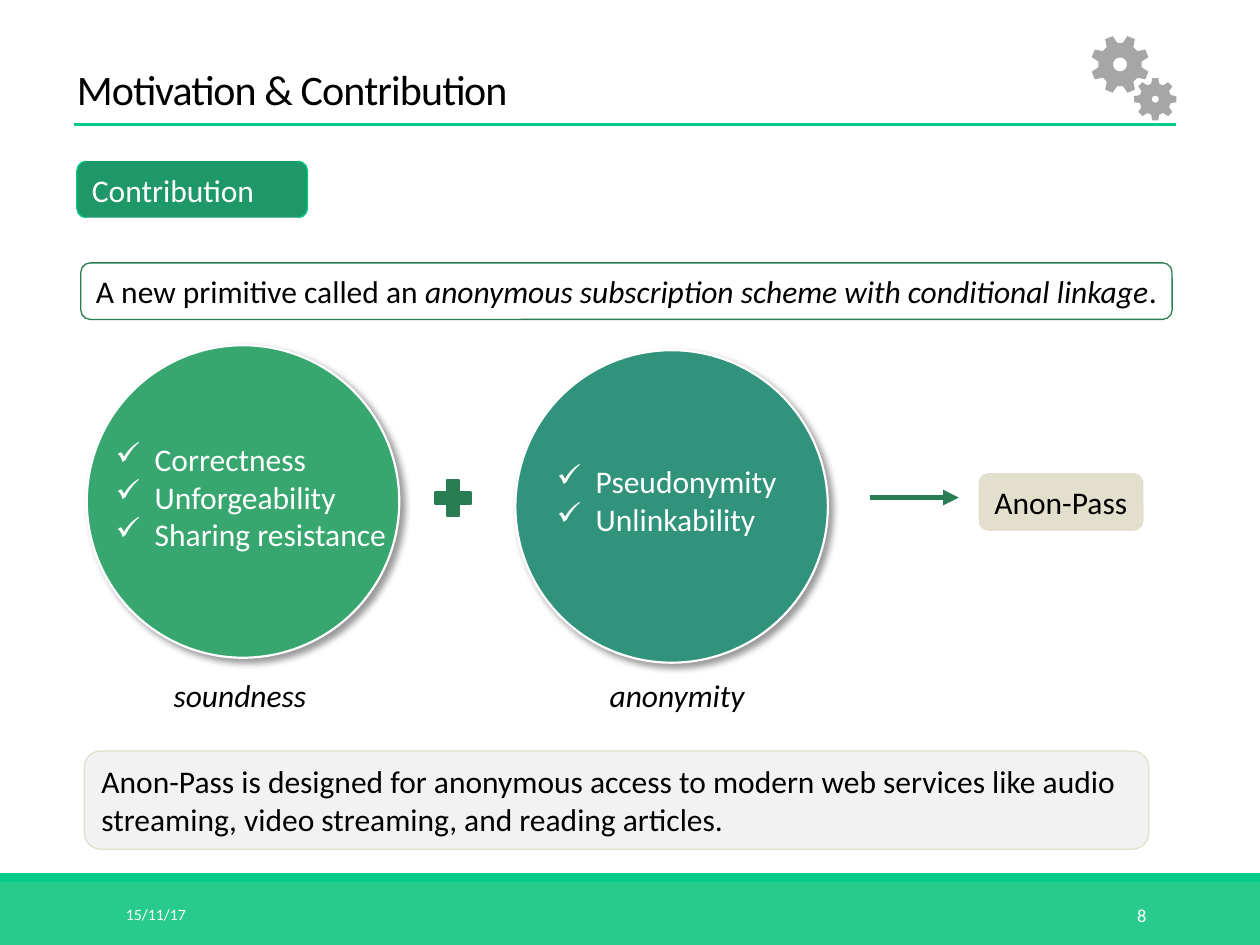
import math

from lxml import etree
from pptx import Presentation
from pptx import util as u
from pptx.dml import color
from pptx.enum import shapes, text
from pptx.oxml import ns

COLORS = {
    "footer": "29CB8C", "accent": "07CB88", "tag": "1F9869", "dark": "297D53",
    "soundness": "37A76F", "anonymity": "31937B", "sand": "E2DFCC",
    "note": "F2F2F2", "gear": "A6A6A6", "white": "FFFFFF", "black": "000000",
}
FONT = "Calibri"
KINDS = shapes.MSO_SHAPE
ANCHORS = text.MSO_ANCHOR


def rgb(name):
    return color.RGBColor.from_string(COLORS[name])


def add_child(parent, tag, **attributes):
    return etree.SubElement(parent, ns.qn(tag), attributes)


def paint(shape, fill=None, line=None, width=0.75):
    shape.shadow.inherit = False
    if fill:
        shape.fill.solid()
        shape.fill.fore_color.rgb = rgb(fill)
    else:
        shape.fill.background()
    if line:
        shape.line.color.rgb = rgb(line)
        shape.line.width = u.Pt(width)
    else:
        shape.line.fill.background()


def style(box, size=18, ink="black", italic=False, align=text.PP_ALIGN.LEFT):
    for para in box.text_frame.paragraphs:
        para.alignment = align
        for span in para.runs:
            span.font.name = FONT
            span.font.size = u.Pt(size)
            span.font.color.rgb = rgb(ink)
            span.font.italic = italic


def add_block(page, kind, place, fill=None, line=None, width=0.75):
    block = page.shapes.add_shape(kind, *map(u.Cm, place))
    paint(block, fill, line, width)
    return block


def add_panel(page, kind, place, words, fill, line, ink="black", wrap=True):
    panel = add_block(page, kind, place, fill, line)
    panel.text_frame.word_wrap = wrap
    panel.text_frame.text = words
    style(panel, ink=ink)
    return panel


def add_label(page, place, words, anchor=ANCHORS.TOP, wrap=True, **look):
    label = page.shapes.add_textbox(*map(u.Cm, place))
    label.text_frame.word_wrap = wrap
    label.text_frame.vertical_anchor = anchor
    label.text_frame.text = words
    style(label, **look)
    return label


def add_checklist(page, place, items):
    checklist = add_label(page, place, "\n".join(items), wrap=False, ink="white")
    indent = u.Cm(0.79)
    for para in checklist.text_frame.paragraphs:
        properties = para._p.get_or_add_pPr()
        properties.set("marL", str(indent))
        properties.set("indent", str(-indent))
        add_child(properties, "a:buChar", char="✓")


def add_circle(page, left, top, fill):
    circle = add_block(page, KINDS.OVAL, (left, top, 6.3, 6.3), fill, "white", 1.25)
    effects = circle._element.spPr.find(ns.qn("a:effectLst"))
    shadow = add_child(effects, "a:outerShdw", blurRad=str(u.Pt(4)),
                       dist=str(u.Pt(3)), dir="2700000", rotWithShape="0")
    shade = add_child(shadow, "a:srgbClr", val=COLORS["black"])
    add_child(shade, "a:alpha", val="40000")


def add_line(page, start, end, width, ink, arrow=False):
    line = page.shapes.add_connector(
        shapes.MSO_CONNECTOR.STRAIGHT, *map(u.Cm, (*start, *end)))
    line.line.color.rgb = rgb(ink)
    line.line.width = u.Pt(width)
    if arrow:
        add_child(line.line._get_or_add_ln(), "a:tailEnd", type="triangle")
    add_child(line._element.spPr, "a:effectLst")


def add_gear(page, center, tip, root, hole, turn):
    """Eight tapered teeth around a round hole."""
    def point(radius, degrees):
        angle = math.radians(degrees)
        return (u.Cm(center[0] + radius * math.cos(angle)),
                u.Cm(center[1] + radius * math.sin(angle)))

    profile = [(root, -15), (tip, -8), (tip, 8), (root, 15)]
    rim = [point(radius, turn + 45 * tooth + offset)
           for tooth in range(8) for radius, offset in profile]
    bore = [point(hole, -15 * step) for step in range(24)]
    builder = page.shapes.build_freeform(*rim[0])
    builder.add_line_segments(rim[1:], close=True)
    builder.move_to(*bore[0])
    builder.add_line_segments(bore[1:], close=True)
    paint(builder.convert_to_shape(), "gear")


def add_frame(page):
    # Footer bands, date and page number
    add_block(page, KINDS.RECTANGLE, (0, 17.78, 25.4, 1.27), "footer")
    add_block(page, KINDS.RECTANGLE, (0, 17.6, 25.4, 0.18), "accent")
    add_label(page, (2.29, 17.93, 5.16, 1.02), "15/11/17", ANCHORS.MIDDLE,
              size=9, ink="white")
    add_label(page, (20.62, 17.93, 2.74, 1.02), "8", ANCHORS.MIDDLE,
              size=10.5, ink="white", align=text.PP_ALIGN.RIGHT)

    # Title with rule and gears
    title = add_label(page, (1.3, 0.91, 19.05, 1.52), "Motivation & Contribution",
                      ANCHORS.BOTTOM, size=24)
    para = title.text_frame.paragraphs[0]
    para.line_spacing = 0.85
    para.runs[0].font._element.set("spc", "-50")
    add_line(page, (1.5, 2.51), (23.7, 2.51), 1.5, "accent")
    add_gear(page, (22.58, 1.3), tip=0.59, root=0.44, hole=0.14, turn=22.5)
    add_gear(page, (23.29, 2), tip=0.43, root=0.32, hole=0.07, turn=0)


def add_statements(page):
    add_panel(page, KINDS.DOUBLE_BRACKET, (1.55, 3.25, 4.65, 1.14),
              "Contribution", "tag", "accent", ink="white")

    primitive = add_panel(page, KINDS.ROUNDED_RECTANGLE, (1.63, 5.3, 22, 1.14),
                          "A new primitive called an ", None, "dark", wrap=False)
    para = primitive.text_frame.paragraphs[0]
    for words in ("anonymous subscription scheme with conditional linkage", "."):
        para.add_run().text = words
    style(primitive)
    para.runs[1].font.italic = True

    add_panel(page, KINDS.ROUNDED_RECTANGLE, (1.7, 15.14, 21.46, 1.98),
              "Anon-Pass is designed for anonymous access to modern web services "
              "like audio streaming, video streaming, and reading articles.",
              "note", "sand")


def add_equation(page):
    # Two groups of properties
    add_circle(page, 1.75, 6.96, "soundness")
    add_circle(page, 10.39, 7.06, "anonymity")
    add_checklist(page, (2.08, 8.74, 6.17, 2.9),
                  ["Correctness", "Unforgeability", "Sharing resistance"])
    add_checklist(page, (10.97, 9.19, 5.16, 1.8), ["Pseudonymity", "Unlinkability"])
    for left, words in ((3.25, "soundness"), (12.04, "anonymity")):
        add_label(page, (left, 13.5, 3.38, 1.02), words, wrap=False, italic=True)

    # Their sum leads to the result
    add_block(page, KINDS.MATH_PLUS, (8.64, 9.55, 0.99, 0.99), "dark", "dark", 1.25)
    add_line(page, (17.53, 10.03), (19.33, 10.03), 3, "dark", arrow=True)
    add_panel(page, KINDS.ROUNDED_RECTANGLE, (19.74, 9.55, 3.3, 1.14),
              "Anon-Pass", "sand", "sand", wrap=False)


def main():
    deck = Presentation()
    deck.slide_width, deck.slide_height = u.Cm(25.4), u.Cm(19.05)
    page = deck.slides.add_slide(deck.slide_layouts[6])
    add_frame(page)
    add_statements(page)
    add_equation(page)
    deck.save("out.pptx")


if __name__ == "__main__":
    main()
